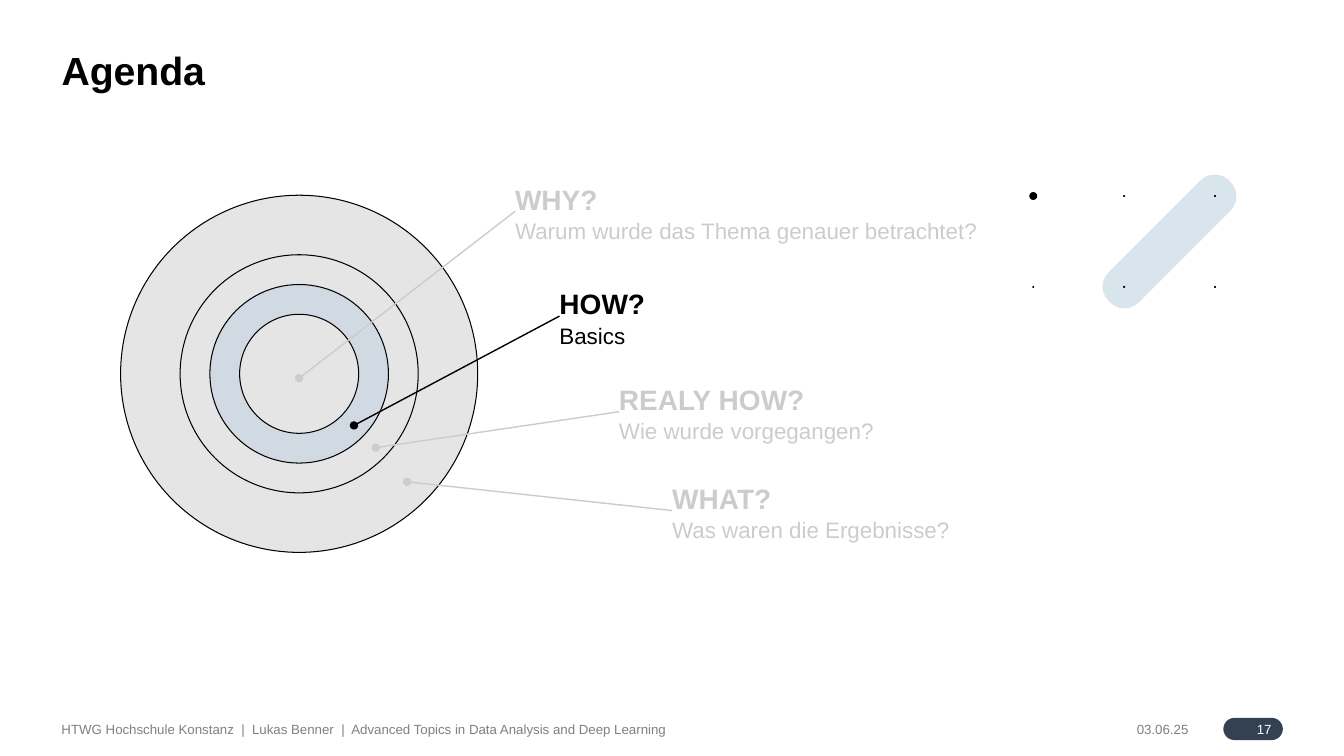
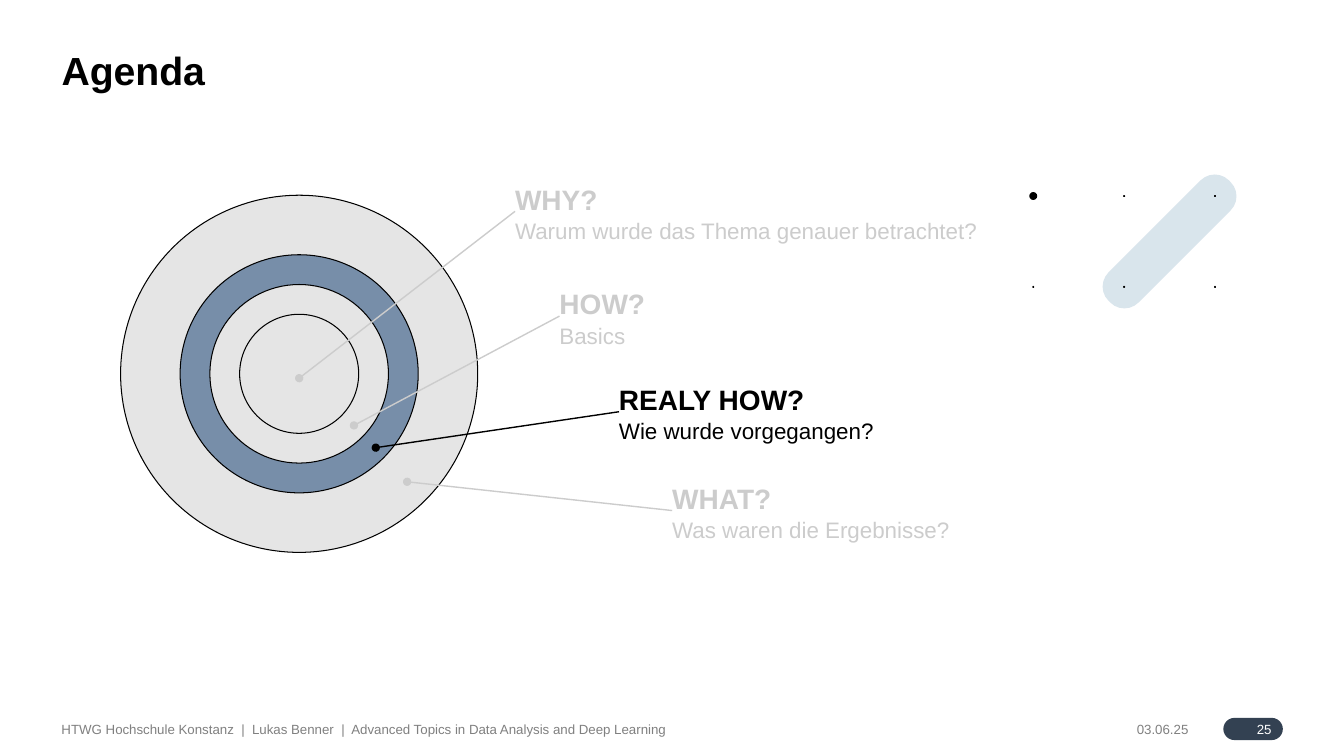
import pptx
import pptx.util
import pptx.dml.color
import pptx.enum.shapes
import pptx.enum.text
import pptx.oxml
from dataclasses import dataclass
from pptx.util import Cm


@dataclass(frozen=True)
class Theme:
    font: str = "Arial"
    ink: str = "000000"
    muted: str = "CCCCCC"
    footer: str = "808080"
    ring: str = "E5E5E5"
    how: str = "D1D9E2"
    really_how: str = "778EA9"
    capsule: str = "D9E5EC"
    pill: str = "334152"
    white: str = "FFFFFF"
    title_size: float = 28
    heading_size: float = 20
    body_size: float = 16
    footer_size: float = 9.5
    line_spacing: float = 1.05


theme = Theme()
rgb = pptx.dml.color.RGBColor.from_string
Shape = pptx.enum.shapes.MSO_SHAPE
Align = pptx.enum.text.PP_ALIGN
Anchor = pptx.enum.text.MSO_ANCHOR


def add_centred(slide, kind, x, y, width, height, fill, outline=None):
    shape = slide.shapes.add_shape(
        kind, Cm(x - width / 2), Cm(y - height / 2), Cm(width), Cm(height))
    shape.shadow.inherit = False
    shape.fill.solid()
    shape.fill.fore_color.rgb = rgb(fill)
    if outline:
        shape.line.color.rgb = rgb(outline)
        shape.line.width = pptx.util.Pt(0.75)
    else:
        shape.line.fill.background()
    return shape


def write(frame, lines, color, align=Align.LEFT, anchor=Anchor.TOP, right=0):
    frame.word_wrap = True
    frame.auto_size = pptx.enum.text.MSO_AUTO_SIZE.NONE
    frame.vertical_anchor = anchor
    frame.margin_left = frame.margin_top = frame.margin_bottom = 0
    frame.margin_right = Cm(right)
    for index, (text, size, bold) in enumerate(lines):
        paragraph = frame.add_paragraph() if index else frame.paragraphs[0]
        paragraph.alignment = align
        paragraph.line_spacing = theme.line_spacing
        run = paragraph.add_run()
        run.text = text
        run.font.name = theme.font
        run.font.size = pptx.util.Pt(size)
        run.font.bold = bold
        run.font.color.rgb = rgb(color)


margin = 1.55
footer_y = 18.37
footers = [
    (28.65, 1.68, "03.06.25"),
    (margin, 26.6, "HTWG Hochschule Konstanz  |  Lukas Benner  |  "
                   "Advanced Topics in Data Analysis and Deep Learning"),
]
dot_left, dot_top, dot_step = 26.04, 4.94, 2.29
target_x, target_y = 7.54, 9.42
rings = [("WHAT?", 9), ("REALY HOW?", 6), ("HOW?", 4.5), ("WHY?", 3)]
topics = [
    ("WHY?", "Warum wurde das Thema genauer betrachtet?", 12.98, 4.55, 11.68, 7.54, 9.53),
    ("HOW?", "Basics", 14.1, 7.19, 8.56, 8.92, 10.72),
    ("REALY HOW?", "Wie wurde vorgegangen?", 15.6, 9.6, 8.56, 9.47, 11.28),
    ("WHAT?", "Was waren die Ergebnisse?", 16.94, 12.09, 8.56, 10.26, 12.14),
]
topic_height = 1.55
agendas = [("17", "HOW?", theme.how), ("25", "REALY HOW?", theme.really_how)]

deck = pptx.Presentation()
deck.slide_width, deck.slide_height = Cm(33.87), Cm(19.05)
title_only = deck.slide_layouts[5]
layout_title = title_only.placeholders[0]
layout_title.left, layout_title.top = Cm(margin), Cm(1.12)
layout_title.width, layout_title.height = Cm(30.78), Cm(1.2)

for page, active, highlight in agendas:
    slide = deck.slides.add_slide(title_only)
    write(slide.shapes.title.text_frame, [("Agenda", theme.title_size, True)], theme.ink)

    capsule = add_centred(slide, Shape.ROUNDED_RECTANGLE, dot_left + 1.5 * dot_step,
                          dot_top + dot_step / 2, 1.07, 4.29, theme.capsule)
    capsule.adjustments[0] = 0.47
    capsule.rotation = 45
    for row in range(2):
        for column in range(3):
            diameter = 0.05 if row or column else 0.2
            add_centred(slide, Shape.OVAL, dot_left + column * dot_step,
                        dot_top + row * dot_step, diameter, diameter, theme.ink)

    for left, width, text in footers:
        footer = slide.shapes.add_textbox(Cm(left), Cm(footer_y - 0.2), Cm(width), Cm(0.4))
        write(footer.text_frame, [(text, theme.footer_size, False)],
              theme.footer, anchor=Anchor.MIDDLE)
    pill = add_centred(slide, Shape.ROUNDED_RECTANGLE, 31.58, footer_y, 1.5, 0.56, theme.pill)
    pill.adjustments[0] = 0.5
    write(pill.text_frame, [(page, theme.footer_size, False)], theme.white,
          Align.RIGHT, Anchor.MIDDLE, 0.2)

    for heading, diameter in rings:
        add_centred(slide, Shape.OVAL, target_x, target_y, diameter, diameter,
                    highlight if heading == active else theme.ring, theme.ink)

    for heading, question, left, top, width, end_x, end_y in topics:
        color = theme.ink if heading == active else theme.muted
        topic = slide.shapes.add_textbox(Cm(left), Cm(top), Cm(width), Cm(topic_height))
        write(topic.text_frame, [(heading, theme.heading_size, True),
                                 (question, theme.body_size, False)], color)
        pointer = slide.shapes.add_connector(
            pptx.enum.shapes.MSO_CONNECTOR.STRAIGHT,
            Cm(left), Cm(top + topic_height / 2), Cm(end_x), Cm(end_y))
        pointer.line.color.rgb = rgb(color)
        pointer.line.width = pptx.util.Pt(1)
        tail = pptx.oxml.parse_xml(
            '<a:tailEnd xmlns:a="http://schemas.openxmlformats.org/drawingml/2006/main" type="oval"/>')
        pointer.line._get_or_add_ln().append(tail)
        no_shadow = pptx.oxml.parse_xml(
            '<a:effectLst xmlns:a="http://schemas.openxmlformats.org/drawingml/2006/main"/>')
        pointer._element.spPr.append(no_shadow)

deck.save("out.pptx")
